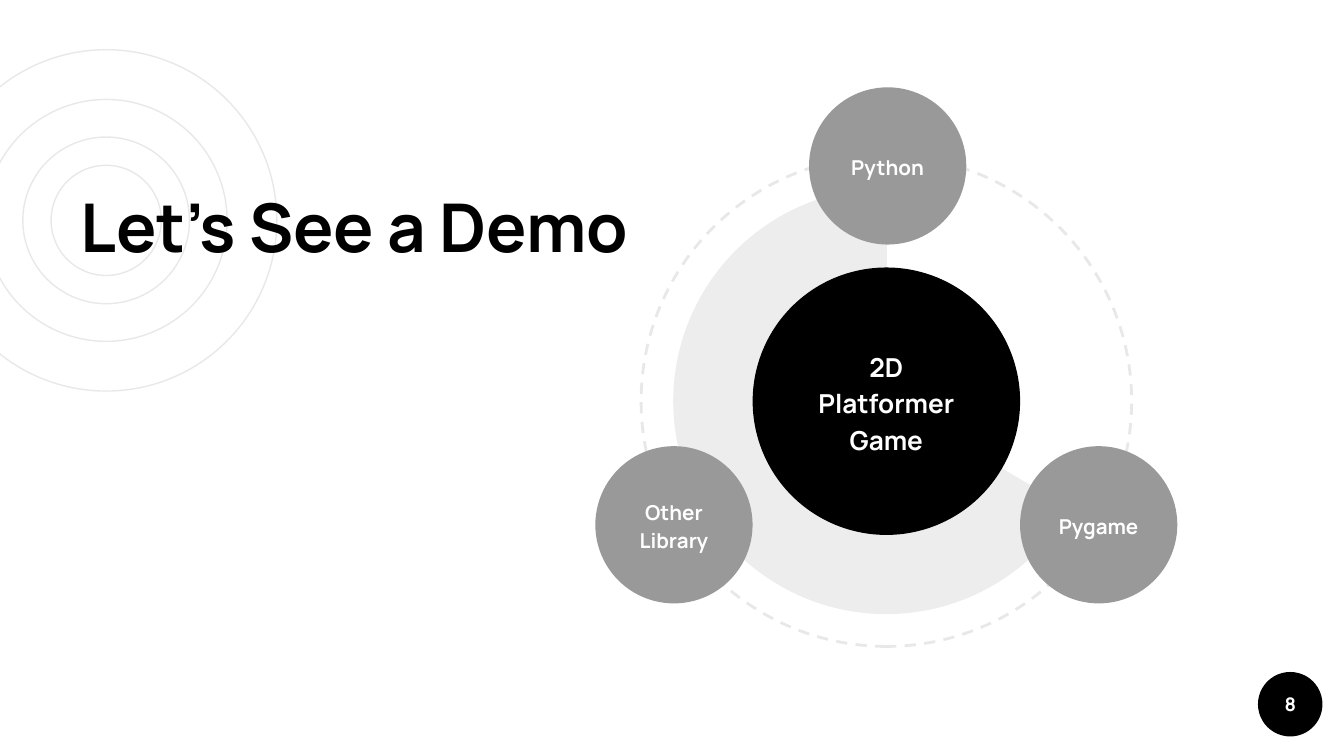
from lxml import etree
from pptx import Presentation
from pptx.dml.color import RGBColor
from pptx.enum.dml import MSO_LINE
from pptx.enum.shapes import MSO_SHAPE
from pptx.enum.text import MSO_ANCHOR, PP_ALIGN
from pptx.oxml.ns import qn
from pptx.util import Inches, Pt

BLACK = RGBColor(0x00, 0x00, 0x00)
WHITE = RGBColor(0xFF, 0xFF, 0xFF)
GRAY = RGBColor(0x99, 0x99, 0x99)
PALE = RGBColor(0xE8, 0xE8, 0xE8)
FONT = "Manrope"

TITLE = "Let’s See a Demo"
PAGE_NUMBER = "8"
HUB = "2D Platformer Game"
SATELLITES = [  # label, left, top
    ("Python", 6.02, 0.65),
    ("Other Library", 4.43, 3.32),
    ("Pygame", 7.59, 3.32),
]

RIPPLE_CENTER = (0.79, 1.64)
RIPPLE_DIAMETERS = [2.54, 1.24, 1.8, 0.82]
HUB_LEFT, HUB_TOP, HUB_DIAMETER = 5.6, 1.99, 1.99
ORBIT_DIAMETER, SECTOR_DIAMETER = 3.65, 3.17
SATELLITE_DIAMETER = 1.17
PAGE_LEFT, PAGE_TOP, PAGE_DIAMETER = 9.36, 5, 0.48


def add_round(left, top, diameter, fill=None, line=None, width=0.75, preset=MSO_SHAPE.OVAL):
    """Add a round shape with an optional fill and outline."""
    shape = slide.shapes.add_shape(
        preset, Inches(left), Inches(top), Inches(diameter), Inches(diameter))
    shape.shadow.inherit = False
    if fill is None:
        shape.fill.background()
    else:
        shape.fill.solid()
        shape.fill.fore_color.rgb = fill
    if line is None:
        shape.line.fill.background()
    else:
        shape.line.color.rgb = line
        shape.line.width = Pt(width)
    return shape


def add_concentric(center, diameter, **style):
    """Add a round shape placed by its centre."""
    x, y = center
    return add_round(x - diameter / 2, y - diameter / 2, diameter, **style)


def write(shape, text, size, color, align=PP_ALIGN.CENTER, anchor=MSO_ANCHOR.MIDDLE, spacing=1.0):
    frame = shape.text_frame
    frame.word_wrap = True
    frame.vertical_anchor = anchor
    frame.margin_left = frame.margin_right = Inches(0.1)
    frame.margin_top = frame.margin_bottom = Inches(0.1)
    paragraph = frame.paragraphs[0]
    paragraph.text = text
    paragraph.alignment = align
    paragraph.line_spacing = spacing
    paragraph.font.name = FONT
    paragraph.font.size = Pt(size)
    paragraph.font.bold = True
    paragraph.font.color.rgb = color


prs = Presentation()
prs.slide_width = Inches(10)
prs.slide_height = prs.slide_width * 9 // 16
slide = prs.slides.add_slide(prs.slide_layouts[6])

for diameter in RIPPLE_DIAMETERS:
    add_concentric(RIPPLE_CENTER, diameter, line=PALE)

page_badge = add_round(PAGE_LEFT, PAGE_TOP, PAGE_DIAMETER, fill=BLACK)
write(page_badge, PAGE_NUMBER, 10, WHITE)

title = slide.shapes.add_textbox(Inches(0.5), Inches(1.28), Inches(4.77), Inches(3.22))
write(title, TITLE, 36, BLACK, PP_ALIGN.LEFT, MSO_ANCHOR.TOP)

hub_center = (HUB_LEFT + HUB_DIAMETER / 2, HUB_TOP + HUB_DIAMETER / 2)
orbit = add_concentric(hub_center, ORBIT_DIAMETER, line=PALE, width=1.5)
orbit.line.dash_style = MSO_LINE.DASH
orbit.rotation = 270

# The sector runs clockwise from 30 to 270 degrees, in 7% black
sector = add_concentric(hub_center, SECTOR_DIAMETER, fill=BLACK, preset=MSO_SHAPE.PIE)
sector.adjustments[0], sector.adjustments[1] = 18.12, 162.15
sector_color = sector.fill._xPr.find(qn("a:solidFill")).find(qn("a:srgbClr"))
etree.SubElement(sector_color, qn("a:alpha")).set("val", "7000")

hub = add_round(HUB_LEFT, HUB_TOP, HUB_DIAMETER, fill=BLACK)
write(hub, HUB, 14, WHITE, spacing=1.15)

for label, left, top in SATELLITES:
    satellite = add_round(left, top, SATELLITE_DIAMETER, fill=GRAY)
    write(satellite, label, 11, WHITE, spacing=1.15)

prs.save("out.pptx")
